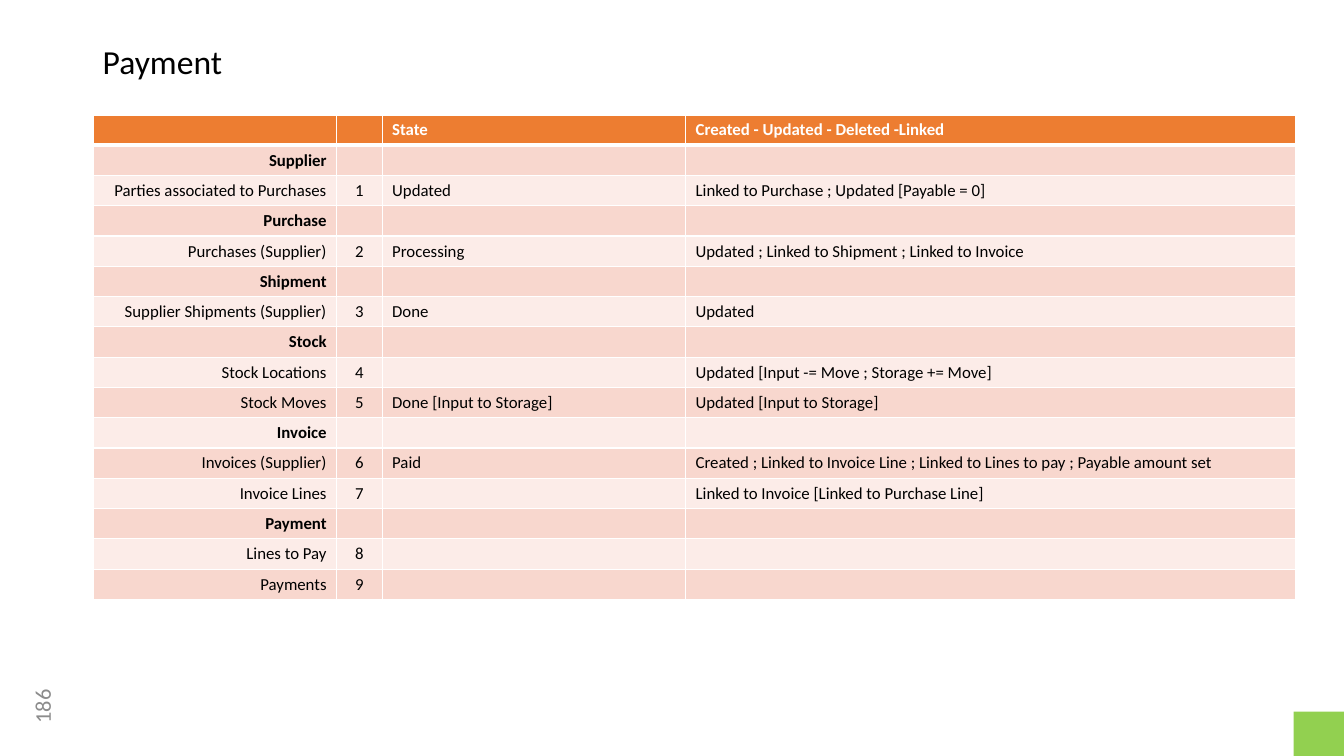
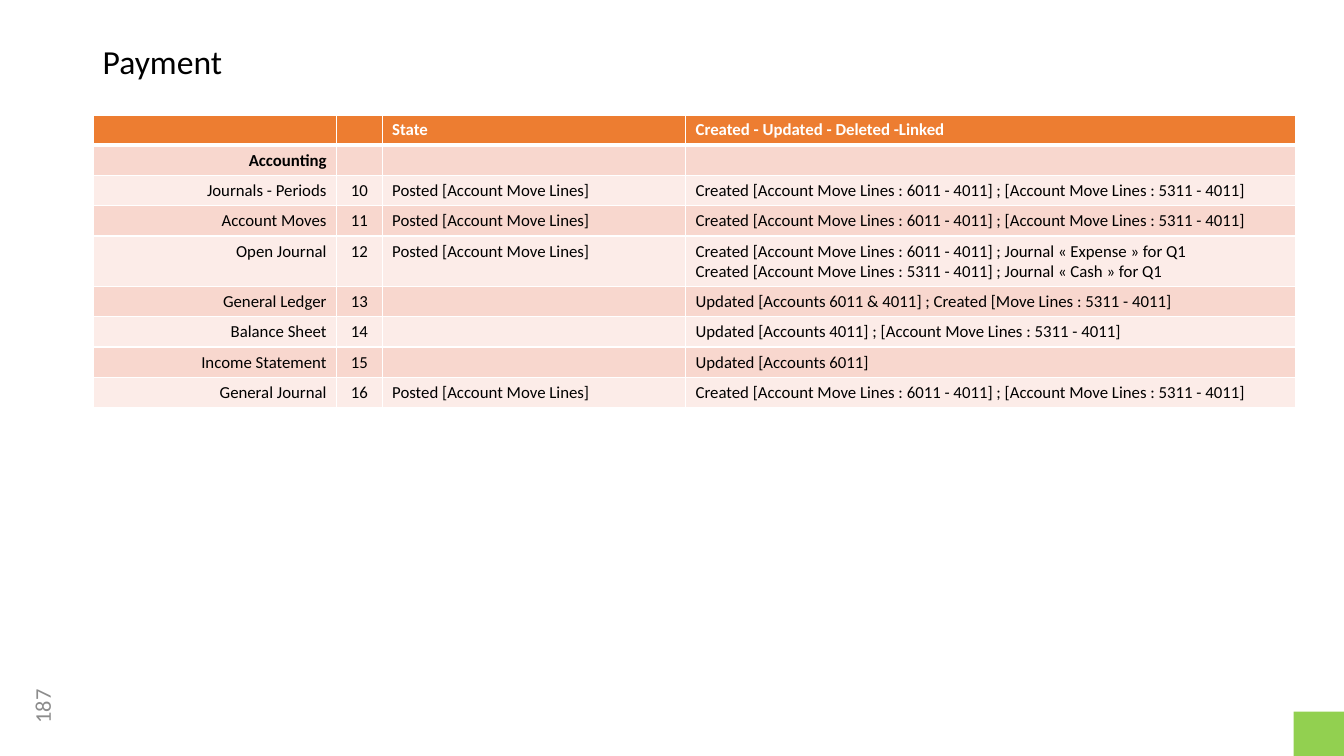
from itertools import count

from lxml.etree import SubElement
from pptx import Presentation
from pptx.dml.color import RGBColor
from pptx.enum.shapes import MSO_SHAPE as Shape
from pptx.enum.text import MSO_ANCHOR as Anchor, PP_ALIGN as Align
from pptx.oxml.ns import qn
from pptx.util import Inches, Pt

BLACK = RGBColor(0x00, 0x00, 0x00)
WHITE = RGBColor(0xFF, 0xFF, 0xFF)
GREY = RGBColor(0x8C, 0x8C, 0x8C)
GREEN = RGBColor(0x92, 0xD0, 0x50)
ORANGE = RGBColor(0xED, 0x7D, 0x31)
BANDS = RGBColor(0xFC, 0xEC, 0xE8), RGBColor(0xF8, 0xD7, 0xCE)
FONT = "Calibri"
TABLE_SIZE = 12

TITLE = "Payment"
FIRST_PAGE = 186
HEADER = ("", "", "State", "Created - Updated - Deleted -Linked")
POSTED = "Posted [Account Move Lines]"
BOTH_MOVES = "Created [Account Move Lines : 6011 - 4011] ; [Account Move Lines : 5311 - 4011]"

# A string is a group heading; a tuple is a numbered item with its state and changes.
PAGES = [
    [
        "Supplier",
        ("Parties associated to Purchases", "Updated",
         "Linked to Purchase ; Updated [Payable = 0]"),
        "Purchase",
        ("Purchases (Supplier)", "Processing",
         "Updated ; Linked to Shipment ; Linked to Invoice"),
        "Shipment",
        ("Supplier Shipments (Supplier)", "Done", "Updated"),
        "Stock",
        ("Stock Locations", "", "Updated [Input -= Move ; Storage += Move]"),
        ("Stock Moves", "Done [Input to Storage]", "Updated [Input to Storage]"),
        "Invoice",
        ("Invoices (Supplier)", "Paid",
         "Created ; Linked to Invoice Line ; Linked to Lines to pay ; Payable amount set"),
        ("Invoice Lines", "", "Linked to Invoice [Linked to Purchase Line]"),
        "Payment",
        ("Lines to Pay", "", ""),
        ("Payments", "", ""),
    ],
    [
        "Accounting",
        ("Journals - Periods", POSTED, BOTH_MOVES),
        ("Account Moves", POSTED, BOTH_MOVES),
        ("Open Journal", POSTED,
         "Created [Account Move Lines : 6011 - 4011] ; Journal « Expense » for Q1\n"
         "Created [Account Move Lines : 5311 - 4011] ; Journal « Cash » for Q1"),
        ("General Ledger", "",
         "Updated [Accounts 6011 & 4011] ; Created [Move Lines : 5311 - 4011]"),
        ("Balance Sheet", "", "Updated [Accounts 4011] ; [Account Move Lines : 5311 - 4011]"),
        ("Income Statement", "", "Updated [Accounts 6011]"),
        ("General Journal", POSTED, BOTH_MOVES),
    ],
]

COLUMN_WIDTHS = (2.41, 0.45, 3.01, 6.05)
COLUMN_ALIGNS = (Align.RIGHT, Align.CENTER, Align.LEFT, Align.LEFT)
ROW_HEIGHT = 0.3


def style_text(para, text, size, color, align=Align.LEFT, bold=False):
    para.text = text
    para.alignment = align
    font = para.font
    font.name, font.size, font.bold = FONT, Pt(size), bold
    font.color.rgb = color


def add_text(page, left, top, width, height, text, size, color, align=Align.LEFT):
    box = page.shapes.add_textbox(Inches(left), Inches(top), Inches(width), Inches(height))
    box.text_frame.word_wrap = True
    style_text(box.text_frame.paragraphs[0], text, size, color, align)
    return box


def add_frame(deck, number):
    """Add a page with its title, page number and corner block."""
    page = deck.slides.add_slide(deck.slide_layouts[6])
    title = add_text(page, 0.92, 0.4, 11.5, 0.51, TITLE, 24, BLACK)
    title.text_frame.paragraphs[0].line_spacing = 0.9

    page_number = add_text(page, 0.04, 6.81, 0.75, 0.4, str(number), 16, GREY, Align.CENTER)
    page_number.rotation = 270
    page_number.text_frame.vertical_anchor = Anchor.MIDDLE

    corner = page.shapes.add_shape(
        Shape.RECTANGLE, Inches(12.83), Inches(7.06), Inches(0.51), Inches(0.44))
    corner.shadow.inherit = False
    corner.fill.solid()
    corner.fill.fore_color.rgb = GREEN
    corner.line.fill.background()
    return page


def set_borders(cell, top, bottom):
    """Draw white cell borders; top and bottom are widths in points."""
    properties = cell._tc.get_or_add_tcPr()
    for side, width in (("L", 1), ("R", 1), ("T", top), ("B", bottom)):
        line = SubElement(properties, qn(f"a:ln{side}"), w=str(Pt(width)))
        fill = SubElement(line, qn("a:solidFill"))
        SubElement(fill, qn("a:srgbClr"), val=str(WHITE))


def fill_cell(cell, text, row, align, bold):
    is_header = row == 0
    set_borders(cell, top=3 if row == 1 else 1, bottom=3 if is_header else 1)
    cell.fill.solid()
    cell.fill.fore_color.rgb = ORANGE if is_header else BANDS[row % 2]
    para = cell.text_frame.paragraphs[0]
    style_text(para, text, TABLE_SIZE, WHITE if is_header else BLACK, align, bold)
    if not text:  # keeps an empty cell from stretching its row
        SubElement(para._p, qn("a:endParaRPr"), sz=str(TABLE_SIZE * 100))


def add_state_table(page, entries, numbers):
    rows = [(HEADER, True)]
    for entry in entries:
        if isinstance(entry, str):
            rows.append(((entry, "", "", ""), True))
        else:
            name, state, changes = entry
            rows.append(((name, str(next(numbers)), state, changes), False))

    table = page.shapes.add_table(
        len(rows), len(COLUMN_WIDTHS), Inches(0.93), Inches(1.14),
        Inches(sum(COLUMN_WIDTHS)), Inches(ROW_HEIGHT * len(rows))).table
    table.first_row = table.horz_banding = False
    for column, width in zip(table.columns, COLUMN_WIDTHS):
        column.width = Inches(width)
    for row, (texts, bold) in enumerate(rows):
        table.rows[row].height = Inches(ROW_HEIGHT)
        for column, (text, align) in enumerate(zip(texts, COLUMN_ALIGNS)):
            fill_cell(table.cell(row, column), text, row, align, bold)


def main():
    deck = Presentation()
    deck.slide_width, deck.slide_height = Inches(13.33), Inches(7.5)
    numbers = count(1)
    for page_number, entries in enumerate(PAGES, FIRST_PAGE):
        page = add_frame(deck, page_number)
        add_state_table(page, entries, numbers)
    deck.save("out.pptx")


if __name__ == "__main__":
    main()
